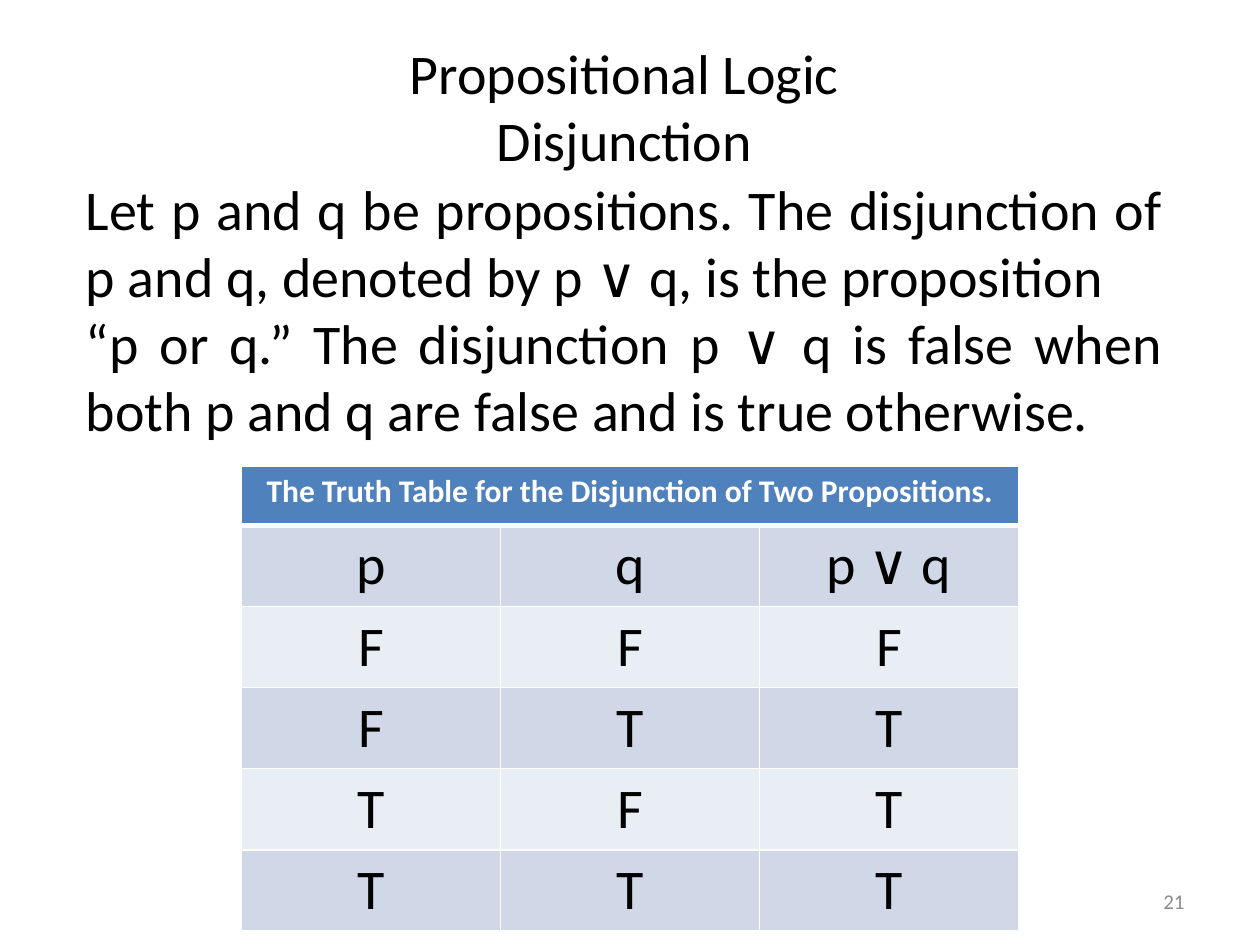
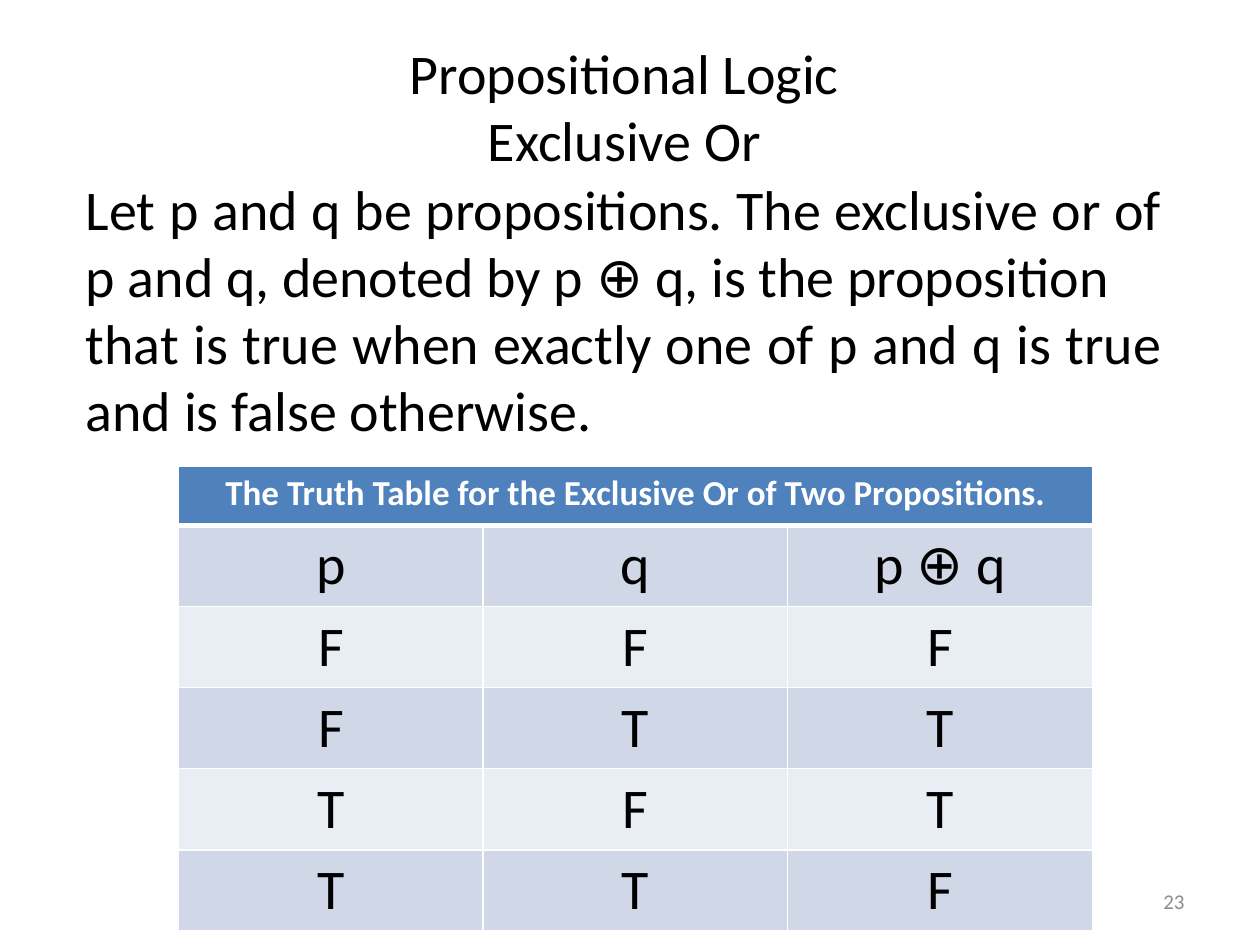
from pptx import Presentation, util as u
from pptx.dml.color import RGBColor
from pptx.enum import text
from pptx.oxml import parse_xml
from pptx.oxml.ns import nsdecls

TOPIC = "Propositional Logic"
INPUTS = ["FF", "FT", "TF", "TT"]
SLIDES = [
    {"number": "21", "name": "Disjunction", "sign": "∨", "results": "FTTT",
     "body": ["Let p and q be propositions. The disjunction of p and q, "
              "denoted by p ∨ q, is the proposition",
              "“p or q.” The disjunction p ∨ q is false when both p and q "
              "are false and is true otherwise."],
     "left": 4.87, "width": 15.66, "head": 18},
    {"number": "23", "name": "Exclusive Or", "sign": "⊕", "results": "FTTF",
     "body": ["Let p and q be propositions. The exclusive or of p and q, "
              "denoted by p ⊕ q, is the proposition",
              "that is true when exactly one of p and q is true and is "
              "false otherwise."],
     "left": 3.6, "width": 18.42, "head": 20},
]

FONT = "Calibri"
BLACK, WHITE, GREY = "000000", "FFFFFF", "8C8C8C"
BLUE, BANDS = "4F81BD", ("D0D8E8", "E9EDF4")
LEFT, WIDTH = 1.48, 22.22
TITLE_TOP, BODY_TOP, TABLE_TOP = 0.64, 3.39, 9.4
HEAD_ROW, ROW = 1.19, 1.52
ALIGN, ANCHOR = text.PP_ALIGN, text.MSO_ANCHOR


def rgb(code):
    return RGBColor.from_string(code)


def place(shape, *box):
    for side, cm in zip(("left", "top", "width", "height"), box):
        setattr(shape, side, u.Cm(cm))


def write(frame, lines, size, color=BLACK, bold=False, align=ALIGN.CENTER):
    frame.text = "\n".join(lines)
    for para in frame.paragraphs:
        para.alignment = align
        para.space_before = u.Pt(0)
        look = {"name": FONT, "size": u.Pt(size), "bold": bold}
        for key, value in look.items():
            setattr(para.font, key, value)
            for run in para.runs:
                setattr(run.font, key, value)
        for run in para.runs:
            run.font.color.rgb = rgb(color)


def set_up(frame, anchor):
    frame.word_wrap = True
    frame.auto_size = text.MSO_AUTO_SIZE.NONE
    frame.vertical_anchor = anchor


def add_text(slide, box, lines, size, anchor=ANCHOR.TOP, **look):
    shape = slide.shapes.add_textbox(*map(u.Cm, box))
    set_up(shape.text_frame, anchor)
    write(shape.text_frame, lines, size, **look)


def add_title(slide, name):
    title = slide.shapes.title
    place(title, LEFT, TITLE_TOP, WIDTH, BODY_TOP - TITLE_TOP)
    set_up(title.text_frame, ANCHOR.TOP)
    write(title.text_frame, [TOPIC, name], 32)


def edge(cell, top, bottom):
    """Draw white cell borders; top and bottom are widths in points."""
    props = cell._tc.get_or_add_tcPr()
    for spot, (side, width) in enumerate(
            [("L", 1), ("R", 1), ("T", top), ("B", bottom)]):
        props.insert(spot, parse_xml(
            f'<a:ln{side} {nsdecls("a")} w="{u.Pt(width)}"><a:solidFill>'
            f'<a:srgbClr val="{WHITE}"/></a:solidFill></a:ln{side}>'))


def add_truth(slide, data):
    heading = f"The Truth Table for the {data['name']} of Two Propositions."
    rows = [[heading, "", ""], ["p", "q", f"p {data['sign']} q"]]
    rows += [[*pair, out] for pair, out in zip(INPUTS, data["results"])]
    height = HEAD_ROW + ROW * (len(rows) - 1)
    box = data["left"], TABLE_TOP, data["width"], height
    table = slide.shapes.add_table(len(rows), 3, *map(u.Cm, box)).table
    table.cell(0, 0).merge(table.cell(0, 2))
    for r, row in enumerate(rows):
        table.rows[r].height = u.Cm(ROW if r else HEAD_ROW)
        for c, value in enumerate(row):
            cell = table.cell(r, c)
            cell.fill.solid()
            cell.fill.fore_color.rgb = rgb(BANDS[(r - 1) % 2] if r else BLUE)
            edge(cell, 3 if r == 1 else 1, 1 if r else 3)
            if r:
                write(cell.text_frame, [value], 32)
            elif value:
                write(cell.text_frame, [value], data["head"], WHITE, True)


def main():
    deck = Presentation()
    deck.slide_width, deck.slide_height = u.Cm(25.4), u.Cm(19.05)
    for data in SLIDES:
        slide = deck.slides.add_slide(deck.slide_layouts[5])
        add_title(slide, data["name"])
        add_text(slide, (18.2, 17.66, 5.93, 1.01), [data["number"]], 12,
                 ANCHOR.MIDDLE, color=GREY, align=ALIGN.RIGHT)
        add_text(slide, (LEFT, BODY_TOP, WIDTH, TABLE_TOP - BODY_TOP),
                 data["body"], 32, align=ALIGN.JUSTIFY)
        add_truth(slide, data)
    deck.save("out.pptx")


if __name__ == "__main__":
    main()
